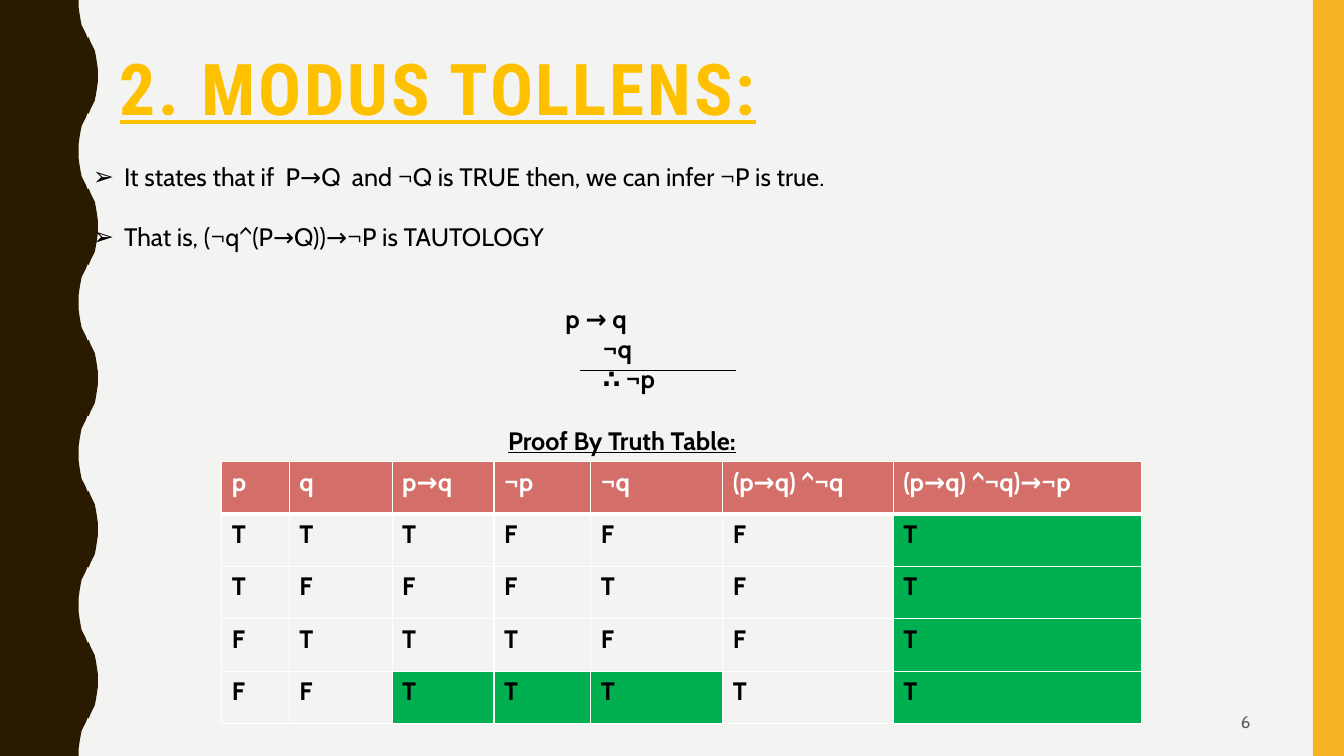
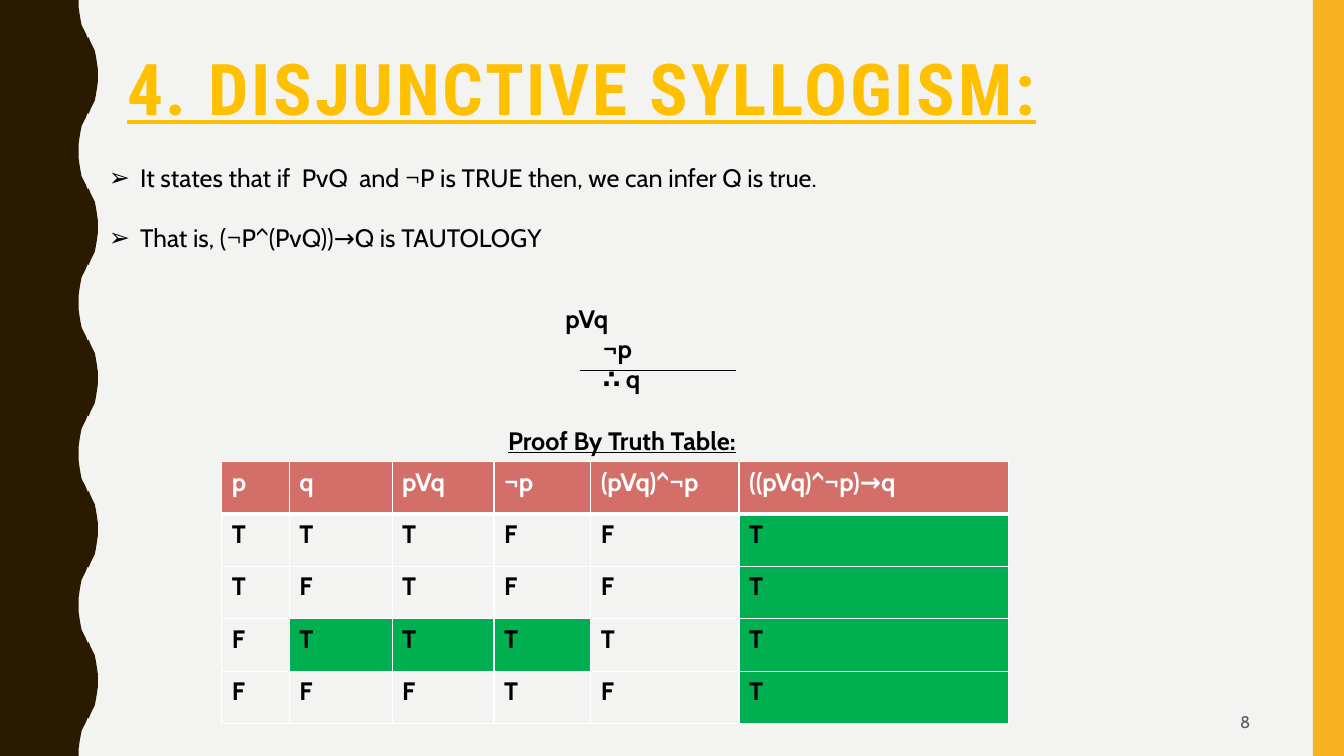
import lxml.etree
import pptx
import pptx.dml.color
import pptx.enum.shapes
import pptx.enum.text
import pptx.oxml.ns
import pptx.util

Inches = pptx.util.Inches
Pt = pptx.util.Pt
RGBColor = pptx.dml.color.RGBColor
Align = pptx.enum.text.PP_ALIGN
Anchor = pptx.enum.text.MSO_ANCHOR
qn = pptx.oxml.ns.qn

PAPER = RGBColor(0xF3, 0xF3, 0xF2)
BROWN = RGBColor(0x2A, 0x1A, 0x00)
AMBER = RGBColor(0xF8, 0xB3, 0x23)
GOLD = RGBColor(0xFF, 0xC0, 0x00)
GREY = RGBColor(0x59, 0x59, 0x59)
BLACK = RGBColor(0x00, 0x00, 0x00)
WHITE = RGBColor(0xFF, 0xFF, 0xFF)
ROSE = RGBColor(0xD3, 0x6F, 0x68)
GREEN = RGBColor(0x00, 0xB0, 0x50)

TITLE_FONT = "Roboto Condensed"
BODY_FONT = "Cabin"

SLIDE_WIDTH, SLIDE_HEIGHT = 13.33, 7.5
STRIPE_WIDTH = 0.31
WAVE_PERIOD = 1.5
WAVE_QUARTER = [(0.78, 0), (0.78, 0.07), (0.79, 0.14), (0.8, 0.2),
                (0.81, 0.25), (0.83, 0.29), (0.85, 0.33), (0.87, 0.38)]
ROW_HEIGHT = 0.52

RULES = [
    {
        "title": "2. MODUS TOLLENS:",
        "title_left": 1.09,
        "number": "6",
        "statements": [
            "It states that if  P→Q  and ¬Q is TRUE then, we can infer ¬P is true.",
            "That is, (¬q^(P→Q))→¬P is TAUTOLOGY",
        ],
        "statements_at": (0.82, 1.25),
        "argument": ["p → q", "¬q", "∴ ¬p"],
        "header": ["p", "q", "p→q", "¬p", "¬q", "(p→q) ^¬q", "(p→q) ^¬q)→¬p"],
        "widths": [0.67, 1.02, 1.01, 0.96, 1.31, 1.69, 2.46],
        "truth_rows": ["TTTFFFT", "TFFFTFT", "FTTTFFT", "FFTTTTT"],
        "marked": {(4, 2), (4, 3), (4, 4)},
    },
    {
        "title": "4. DISJUNCTIVE SYLLOGISM:",
        "title_left": 1.16,
        "number": "8",
        "statements": [
            "It states that if  PvQ  and ¬P is TRUE then, we can infer Q is true.",
            "That is, (¬P^(PvQ))→Q is TAUTOLOGY",
        ],
        "statements_at": (0.98, 1.26),
        "argument": ["pVq", "¬p", "∴ q"],
        "header": ["p", "q", "pVq", "¬p", "(pVq)^¬p", "((pVq)^¬p)→q"],
        "widths": [0.67, 1.02, 1.01, 0.96, 1.47, 2.67],
        "truth_rows": ["TTTFFT", "TFTFFT", "FTTTTT", "FFFTFT"],
        "marked": {(3, 1), (3, 2), (3, 3)},
    },
]


def write_text(paragraph, text, size=18, font=BODY_FONT, color=BLACK, bold=False,
               underline=False, tracking=None, align=Align.LEFT, line_spacing=None,
               space_before=0, indent=0, hanging=0, bullet=None):
    """Fill one paragraph; indent and hanging are in inches, tracking in points."""
    properties = paragraph._p.get_or_add_pPr()
    properties.set("marL", str(Inches(indent)))
    properties.set("indent", str(-Inches(hanging)))
    if bullet:
        lxml.etree.SubElement(properties, qn("a:buChar")).set("char", bullet)
    paragraph.alignment = align
    paragraph.space_before = Pt(space_before)
    if line_spacing:
        paragraph.line_spacing = line_spacing
    run = paragraph.add_run()
    run.text = text
    run.font.size = Pt(size)
    run.font.name = font
    run.font.color.rgb = color
    run.font.bold = bold
    run.font.underline = underline
    if tracking:
        run.font._element.set("spc", str(tracking * 100))


def place(shape, left, top, width, height, anchor=Anchor.TOP):
    """Move a text shape and return its text frame, ready for writing."""
    shape.left, shape.top = Inches(left), Inches(top)
    shape.width, shape.height = Inches(width), Inches(height)
    frame = shape.text_frame
    frame.word_wrap = True
    frame.auto_size = pptx.enum.text.MSO_AUTO_SIZE.NONE
    frame.vertical_anchor = anchor
    return frame


def add_paragraphs(frame, count):
    return [frame.paragraphs[0]] + [frame.add_paragraph() for _ in range(count - 1)]


def wave_outline():
    """Points of the side band, from its top left corner round to its bottom left."""
    middle = WAVE_QUARTER[0][0] + 0.97
    half = WAVE_QUARTER + [(middle - x, WAVE_PERIOD / 2 - y)
                           for x, y in reversed(WAVE_QUARTER)]
    period = half + [(x, WAVE_PERIOD - y) for x, y in reversed(half)]
    repeats = round(SLIDE_HEIGHT / WAVE_PERIOD)
    edge = [(x, y + index * WAVE_PERIOD) for index in range(repeats) for x, y in period]
    return [(Inches(x), Inches(y)) for x, y in edge + [(0, SLIDE_HEIGHT)]]


def decorate_layout(layout, slide):
    """Give the layout its background and side bands, drawn first on a slide."""
    layout.background.fill.solid()
    layout.background.fill.fore_color.rgb = PAPER
    for placeholder in list(layout.placeholders):
        if placeholder.placeholder_format.idx >= 10:
            placeholder.element.getparent().remove(placeholder.element)
    builder = slide.shapes.build_freeform(0, 0)
    builder.add_line_segments(wave_outline(), close=True)
    wave = builder.convert_to_shape()
    stripe = slide.shapes.add_shape(
        pptx.enum.shapes.MSO_SHAPE.RECTANGLE, Inches(SLIDE_WIDTH - STRIPE_WIDTH), 0,
        Inches(STRIPE_WIDTH), Inches(SLIDE_HEIGHT))
    for band, color in ((wave, BROWN), (stripe, AMBER)):
        band.fill.solid()
        band.fill.fore_color.rgb = color
        band.line.fill.background()
        band.shadow.inherit = False
        layout.shapes.element.insert(2, band.element)


def add_title(slide, text, left):
    frame = place(slide.shapes.title, left, 0.48, 9.33, 0.98)
    write_text(frame.paragraphs[0], text, size=51, font=TITLE_FONT, color=GOLD,
               bold=True, underline=True, tracking=2, line_spacing=0.9)


def add_statements(slide, statements, left, top):
    frame = place(slide.placeholders[1], left, top, 12.23, 1.31)
    for paragraph, text in zip(add_paragraphs(frame, len(statements)), statements):
        write_text(paragraph, text, line_spacing=2.0, indent=0.31, hanging=0.31,
                   bullet="➢")


def add_number(slide, number):
    box = slide.shapes.add_textbox(0, 0, 0, 0)
    frame = place(box, 9.42, 6.97, 3.08, 0.38, anchor=Anchor.MIDDLE)
    write_text(frame.paragraphs[0], number, size=12, color=GREY, align=Align.RIGHT)


def add_argument(slide, lines, left, top):
    """Premises above a rule, the conclusion below it, then the table heading."""
    frame = place(slide.shapes.add_textbox(0, 0, 0, 0), left, top, 6.65, 1.62)
    *steps, heading = add_paragraphs(frame, len(lines) + 1)
    for paragraph, text, indent in zip(steps, lines, (2.19, 2.56, 2.56)):
        write_text(paragraph, text, bold=True, indent=indent)
    write_text(heading, "Proof By Truth Table:", bold=True, underline=True,
               indent=1.62, space_before=22)
    rule_left, rule_top = left + 2.43, top + 0.71
    rule = slide.shapes.add_connector(
        pptx.enum.shapes.MSO_CONNECTOR.STRAIGHT, Inches(rule_left), Inches(rule_top),
        Inches(rule_left + 1.55), Inches(rule_top))
    rule.line.color.rgb = BLACK
    rule.line.width = Pt(0.5)
    lxml.etree.SubElement(rule.element.spPr, qn("a:effectLst"))


def set_borders(cell, top=1, bottom=1):
    """White cell borders, with widths in points."""
    properties = cell._tc.get_or_add_tcPr()
    for side, width in (("L", 1), ("R", 1), ("T", top), ("B", bottom)):
        line = lxml.etree.SubElement(properties, qn(f"a:ln{side}"))
        line.set("w", str(Pt(width)))
        fill = lxml.etree.SubElement(line, qn("a:solidFill"))
        lxml.etree.SubElement(fill, qn("a:srgbClr")).set("val", str(WHITE))


def add_truth_table(slide, header, truth_rows, widths, marked, left, top):
    """Truth table whose last column and marked (row, column) cells are green."""
    rows = [header, *truth_rows]
    table = slide.shapes.add_table(
        len(rows), len(header), Inches(left), Inches(top), Inches(sum(widths)),
        Inches(ROW_HEIGHT * len(rows))).table
    for column, width in zip(table.columns, widths):
        column.width = Inches(width)
    for row_index, values in enumerate(rows):
        table.rows[row_index].height = Inches(ROW_HEIGHT)
        is_header = row_index == 0
        for column_index, value in enumerate(values):
            cell = table.cell(row_index, column_index)
            set_borders(cell, top=3 if row_index == 1 else 1,
                        bottom=3 if is_header else 1)
            is_green = (column_index == len(header) - 1
                        or (row_index, column_index) in marked)
            if is_header or is_green:
                cell.fill.solid()
                cell.fill.fore_color.rgb = ROSE if is_header else GREEN
            else:
                cell.fill.background()
            write_text(cell.text_frame.paragraphs[0], value, bold=True,
                       color=WHITE if is_header else BLACK)


def fill_rule_slide(slide, rule):
    add_title(slide, rule["title"], rule["title_left"])
    add_statements(slide, rule["statements"], *rule["statements_at"])
    add_number(slide, rule["number"])
    add_argument(slide, rule["argument"], 3.32, 2.96)
    add_truth_table(slide, rule["header"], rule["truth_rows"], rule["widths"],
                    rule["marked"], 2.2, 4.58)


def main():
    presentation = pptx.Presentation()
    presentation.slide_width = Inches(SLIDE_WIDTH)
    presentation.slide_height = Inches(SLIDE_HEIGHT)
    layout = presentation.slide_layouts[1]
    slides = [presentation.slides.add_slide(layout) for _ in RULES]
    decorate_layout(layout, slides[0])
    for slide, rule in zip(slides, RULES):
        fill_rule_slide(slide, rule)
    presentation.save("out.pptx")


if __name__ == "__main__":
    main()
